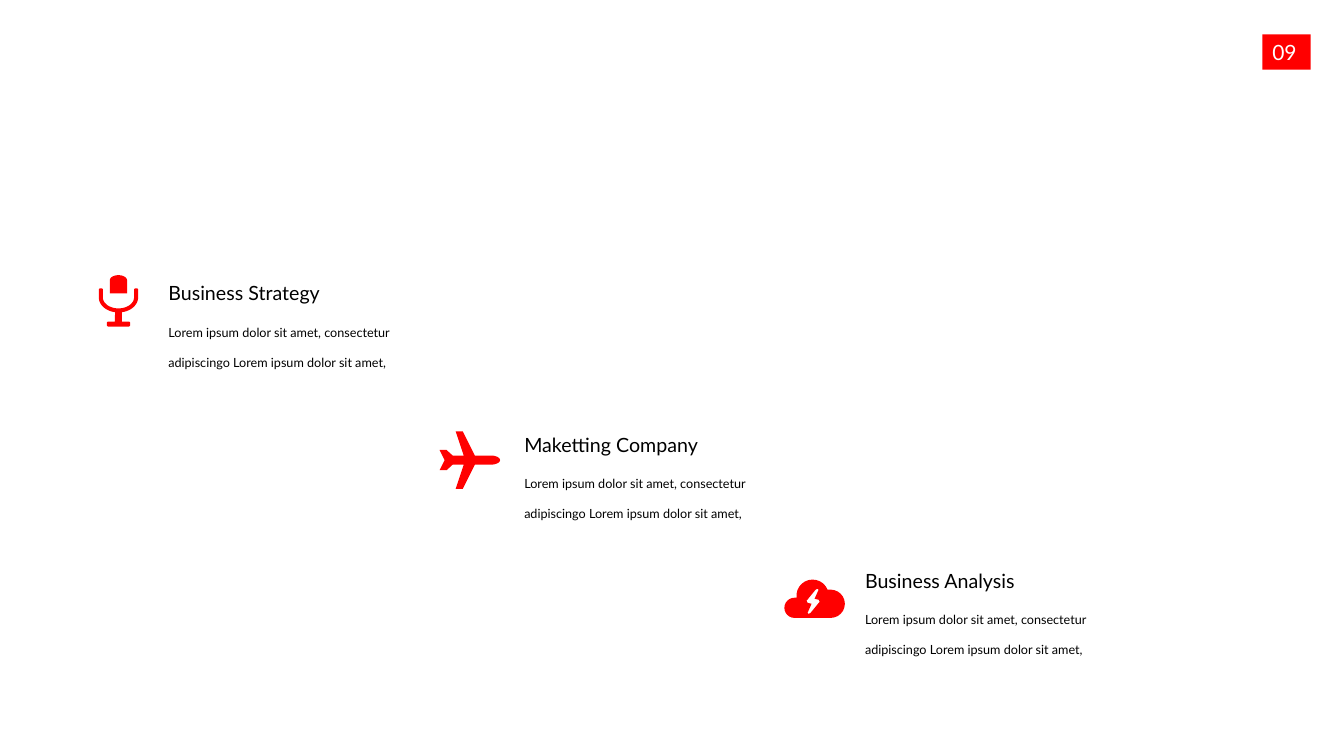
from math import cos, radians, sin

from pptx import Presentation
from pptx.dml.color import RGBColor
from pptx.enum.shapes import MSO_SHAPE as Shape
from pptx.enum.text import MSO_ANCHOR as Anchor, MSO_AUTO_SIZE as AutoSize, PP_ALIGN as Align
from pptx.util import Inches, Pt

COLORS = {"accent": "FF0000", "text": "000000", "paper": "FFFFFF"}
FONT = "Lato"
ICON_UNIT = Inches(0.01)
ARC_STEPS = 12
BODY = "Lorem ipsum dolor sit amet, consectetur adipiscingo Lorem ipsum dolor sit amet,"

TOPICS = [
    ("Business Strategy", 1.67, 2.79, 1.74),
    ("Maketting Company", 5.2, 4.29, 1.97),
    ("Business Analysis", 8.58, 5.64, 1.73),
]


def color(name):
    return RGBColor.from_string(COLORS[name])


def arc(center_x, center_y, radius_x, radius_y, start, end):
    angles = [radians(start + (end - start) * step / ARC_STEPS) for step in range(ARC_STEPS + 1)]
    return [(center_x + radius_x * cos(a), center_y + radius_y * sin(a)) for a in angles]


def mirror_sideways(half):
    return half + [(-x, y) for x, y in reversed(half)]


def mirror_upright(half):
    return half + [(x, -y) for x, y in reversed(half)]


def half_turn(half, center_x, center_y):
    return half + [(2 * center_x - x, 2 * center_y - y) for x, y in half]


def microphone_head():
    half_width, dome, bottom = 8.5, 5, 18
    return [mirror_sideways(arc(0, dome, half_width, dome, -90, 0) + [(half_width, bottom)])]


def microphone_stand():
    outer, inner, stem, base = 19.5, 15.5, 3.5, 11.5
    bend, base_top, base_bottom = 9, 33, 38
    cradle = arc(0, bend, inner, 11, 90, 0)
    arm_tip = [(inner, 1), (inner + 1, 0), (outer - 1, 0), (outer, 1)]
    bowl = arc(0, bend, outer, 15, 0, 80)
    foot = [(stem, base_top), (base - 1, base_top), (base, base_top + 1),
            (base, base_bottom - 1), (base - 1, base_bottom)]
    return [mirror_sideways(cradle + arm_tip + bowl + foot)]


def plane():
    body, wing_span, tail_span = 4.5, 28.5, 10
    nose = arc(51, 0, 9, body, 0, -90)
    wing = [(35, -body), (23, -wing_span), (16, -wing_span), (24, -body)]
    tail = [(13, -body), (7, -tail_span), (0, -tail_span), (5, 0)]
    return [mirror_upright(nose + wing + tail)]


def cloud():
    left_lobe = arc(10, 28, 10, 10, 90, 270)
    top_lobe = arc(28, 16, 16, 16, 173, 338)
    right_lobe = arc(46, 24, 14, 14, -90, 90)
    bolt_half = [(31, 10), (33, 9), (34, 10), (30, 19), (34, 20), (35, 22)]
    return [left_lobe + top_lobe + right_lobe, half_turn(bolt_half, 28.5, 21.5)]


ICONS = [
    (microphone_stand, 0.98, 2.86),
    (microphone_head, 1.09, 2.73),
    (plane, 4.36, 4.28),
    (cloud, 7.78, 5.75),
]


def paint(shape):
    shape.shadow.inherit = False
    shape.fill.solid()
    shape.fill.fore_color.rgb = color("accent")
    shape.line.fill.background()


def add_icon(page, draw, left, top):
    outlines = draw()
    left_edge = min(x for outline in outlines for x, y in outline)
    top_edge = min(y for outline in outlines for x, y in outline)
    placed = [[(Inches(left) + (x - left_edge) * ICON_UNIT,
                Inches(top) + (y - top_edge) * ICON_UNIT) for x, y in outline]
              for outline in outlines]
    builder = page.shapes.build_freeform(*placed[0][0])
    for outline in placed:
        builder.move_to(*outline[0])
        builder.add_line_segments(outline[1:], close=True)
    paint(builder.convert_to_shape())


def write(shape, text, size, ink, wrap):
    frame = shape.text_frame
    frame.text = text
    frame.word_wrap = wrap
    frame.auto_size = AutoSize.SHAPE_TO_FIT_TEXT
    frame.vertical_anchor = Anchor.TOP
    para = frame.paragraphs[0]
    para.alignment = Align.LEFT
    span = para.runs[0]
    span.font.name = FONT
    span.font.size = Pt(size)
    span.font.color.rgb = color(ink)
    return para


def add_text(page, text, left, top, width, height, size, wrap):
    box = page.shapes.add_textbox(Inches(left), Inches(top), Inches(width), Inches(height))
    frame = box.text_frame
    frame.margin_left = frame.margin_right = frame.margin_top = frame.margin_bottom = 0
    return write(box, text, size, "text", wrap)


def add_topic(page, title, left, top, title_width):
    add_text(page, title, left, top, title_width, 0.24, 14, False)
    para = add_text(page, BODY, left, top + 0.28, 2.6, 0.61, 9, True)
    para.line_spacing = 2.0


def add_page_number(page, number):
    badge = page.shapes.add_shape(
        Shape.RECTANGLE, Inches(12.52), Inches(0.34), Inches(0.48), Inches(0.35))
    paint(badge)
    write(badge, number, 15, "paper", False)


def main():
    deck = Presentation()
    deck.slide_width = Inches(13.33)
    deck.slide_height = Inches(7.5)
    page = deck.slides.add_slide(deck.slide_layouts[6])
    for icon in ICONS:
        add_icon(page, *icon)
    for topic in TOPICS:
        add_topic(page, *topic)
    add_page_number(page, "09")
    deck.save("out.pptx")


if __name__ == "__main__":
    main()
